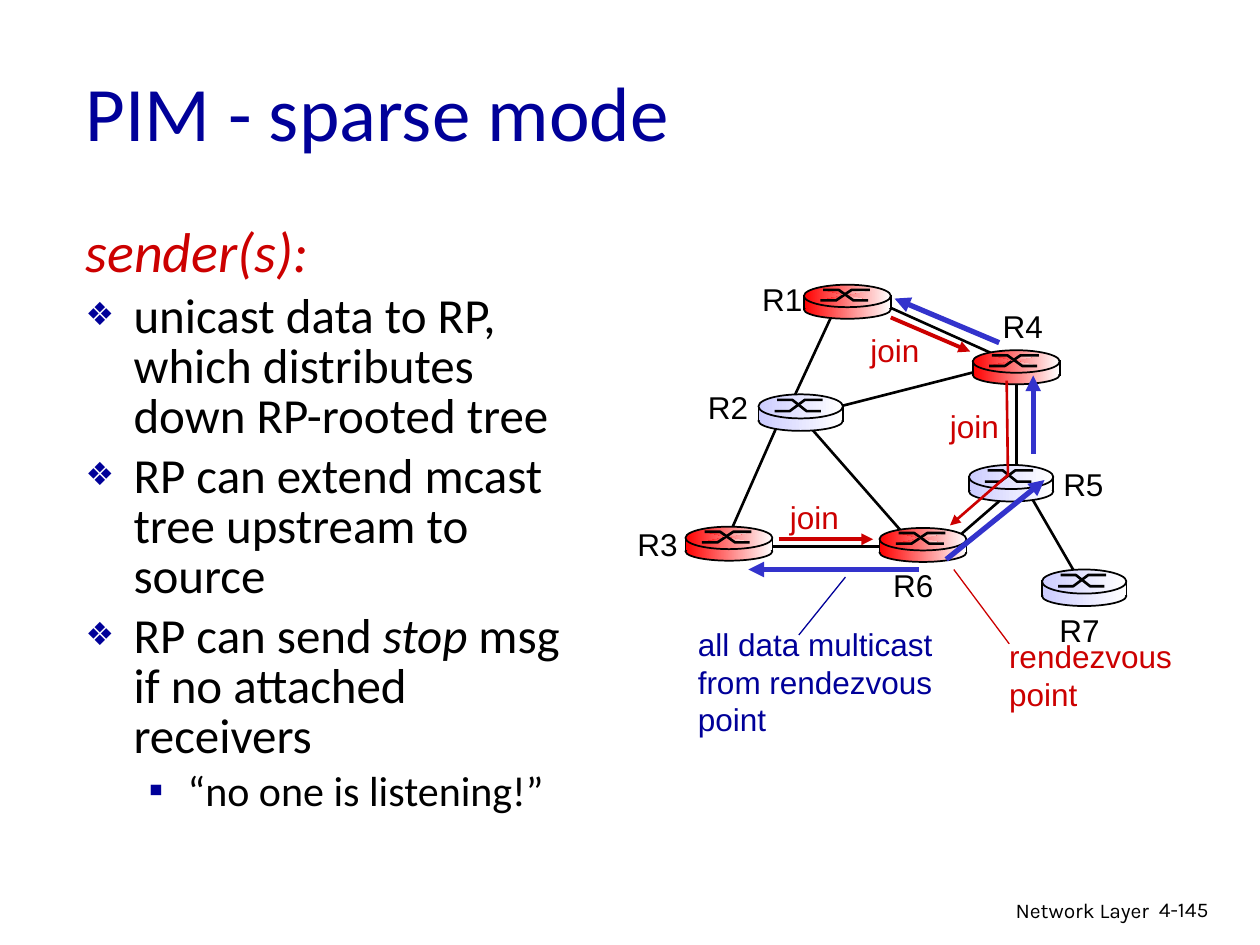
"""Build the PIM sparse mode slide with its router network diagram."""
from lxml.etree import SubElement
from pptx import Presentation
from pptx.dml.color import RGBColor
from pptx.enum.shapes import MSO_CONNECTOR as Connector, MSO_SHAPE as Shape
from pptx.enum.text import MSO_ANCHOR as Anchor, MSO_AUTO_SIZE as AutoSize, PP_ALIGN as Align
from pptx.oxml.ns import qn
from pptx.util import Inches, Pt

BLACK, NAVY, RED, BLUE = "000000", "000099", "CC0000", "3333CC"
TITLE = "PIM - sparse mode"
BODY = [
    dict(runs=[("sender(s):", True)], size=32, color=RED, indent=(0.38, -0.38)),
    dict(runs=["unicast data to RP, which distributes down RP-rooted tree"],
         size=28, bullet="❖", indent=(0.38, -0.38)),
    dict(runs=["RP can extend mcast tree upstream to source"],
         size=28, bullet="❖", indent=(0.38, -0.38)),
    dict(runs=["RP can send ", ("stop", True), " msg if no attached receivers"],
         size=28, bullet="❖", indent=(0.38, -0.38)),
    dict(runs=["“no one is listening!”"], size=24, bullet="▪", bullet_size=100,
         level=1, indent=(0.81, -0.31)),
]
FOOTERS = [("Network Layer", (6.05, 7.07, 3.17, 0.31), Align.RIGHT),
           ("4-145", (9.1, 7.07, 0.74, 0.3), Align.LEFT)]
CALLOUTS = [
    (["all data multicast", "from rendezvous", "point"], (5.44, 4.91, 2.06, 1), NAVY),
    (["rendezvous", "point"], (7.91, 5.01, 1.49, 0.7), RED),
]
CALLOUT_LINES = [(6.34, 5.04, 6.71, 4.58, NAVY), (7.57, 4.52, 8.01, 5.11, RED)]
JOIN_LABELS = [(7.44, 3.18), (6.81, 2.58), (6.17, 3.9)]
JOIN_ARROWS = [(6.18, 4.28, 6.93, 4.28), (7.07, 2.52, 7.7, 2.79)]
JOIN_ROUTE = [(7.99, 3.02), (8, 3.77), (7.54, 4.17)]
DATA_ARROWS = [(7.29, 4.52, 5.94, 4.52), (7.93, 2.72, 7.1, 2.37)]
FRONT_DATA_ARROWS = [(8.2, 3.6, 8.2, 2.98), (7.51, 4.44, 8.29, 3.81)]
LINKS = [
    (8.1, 3.8, 8.54, 4.56), (6.57, 3.25, 8.06, 2.87), (6.28, 3.22, 7.21, 4.28),
    (6.95, 2.39, 8.04, 2.88), (7.5, 4.35, 8.09, 3.84), (8.07, 2.98, 8.07, 3.77),
    (5.94, 4.34, 7.06, 4.34), (6.19, 3.33, 5.78, 4.26), (6.65, 2.4, 6.27, 3.22),
]
ROUTER_LABELS = {"R1": (5.95, 2.17), "R2": (5.52, 3.03), "R3": (4.96, 4.12), "R4": (7.86, 2.39),
                 "R5": (8.34, 3.64), "R6": (6.99, 4.44), "R7": (8.31, 4.8)}
MEMBERS = [(6.38, 2.26), (7.72, 2.78), (6.98, 4.19), (5.44, 4.18)]
OTHERS = [(6.02, 3.13), (7.69, 3.69), (8.27, 4.52)]
MEMBER_STYLE = dict(width=0.69, height=0.27, color="FF0000", filled_cross=True)
OTHER_STYLE = dict(width=0.67, height=0.29, color="CCCCFF", filled_cross=False)
CROSS = [[(0.19, 0.46), (0.37, 0.46), (0.55, 0.15), (0.76, 0.15)],
         [(0.22, 0.15), (0.4, 0.15), (0.57, 0.46), (0.74, 0.46)]]

presentation = Presentation()
presentation.slide_width, presentation.slide_height = Inches(10), Inches(7.5)
slide = presentation.slides.add_slide(presentation.slide_layouts[1])
shapes = slide.shapes


def rgb(value):
    return RGBColor.from_string(value)


def place(shape, left, top, width, height):
    shape.left, shape.top = Inches(left), Inches(top)
    shape.width, shape.height = Inches(width), Inches(height)


def write(paragraph, runs, size=18, color=BLACK, font="Arial", align=Align.LEFT, level=0):
    paragraph.alignment, paragraph.level = align, level
    for item in runs:
        text, italic = (item, False) if isinstance(item, str) else item
        run = paragraph.add_run()
        run.text = text
        run.font.size, run.font.name, run.font.italic = Pt(size), font, italic
        run.font.color.rgb = rgb(color)


def add_text(lines, box, wrap=False, **style):
    shape = shapes.add_textbox(*map(Inches, box))
    frame = shape.text_frame
    frame.word_wrap = wrap
    frame.auto_size = AutoSize.NONE if wrap else AutoSize.SHAPE_TO_FIT_TEXT
    for index, line in enumerate(lines):
        paragraph = frame.add_paragraph() if index else frame.paragraphs[0]
        write(paragraph, [line], **style)


def set_bullet(paragraph, indent, bullet=None, bullet_size=65):
    properties = paragraph._p.get_or_add_pPr()
    properties.set("marL", str(Inches(indent[0])))
    properties.set("indent", str(Inches(indent[1])))
    if not bullet:
        SubElement(properties, qn("a:buNone"))
        return
    SubElement(SubElement(properties, qn("a:buClr")), qn("a:srgbClr"), val=NAVY)
    SubElement(properties, qn("a:buSzPct"), val=str(bullet_size * 1000))
    SubElement(properties, qn("a:buChar"), char=bullet)


def fill_body(frame):
    for index, item in enumerate(BODY):
        paragraph = frame.add_paragraph() if index else frame.paragraphs[0]
        bullet = {key: item[key] for key in ("indent", "bullet", "bullet_size") if key in item}
        style = {key: item[key] for key in ("size", "color", "level") if key in item}
        set_bullet(paragraph, **bullet)
        paragraph.line_spacing = 0.85
        paragraph.space_before = Pt(item["size"] * 0.2 if index else 0)
        write(paragraph, item["runs"], font="Calibri", **style)


def set_line(shape, color, weight, arrow=False):
    shape.line.color.rgb, shape.line.width = rgb(color), Pt(weight)
    if arrow:
        SubElement(shape.line._get_or_add_ln(), qn("a:tailEnd"), type="triangle")


def add_line(x1, y1, x2, y2, color=BLACK, weight=1.5, arrow=False):
    line = shapes.add_connector(Connector.STRAIGHT, *map(Inches, (x1, y1, x2, y2)))
    set_line(line, color, weight, arrow)
    SubElement(line._element.spPr, qn("a:effectLst"))


def set_gradient(shape, color):
    shape.fill.gradient()
    shape.fill.gradient_angle = 0
    for stop, value in zip(shape.fill.gradient_stops, (color, "FFFFFF")):
        stop.color.rgb = rgb(value)


def add_path(points, color=BLACK, arrow=False, gradient=None):
    (x, y), *rest = [(Inches(x), Inches(y)) for x, y in points]
    builder = shapes.build_freeform(x, y)
    builder.add_line_segments(rest, close=False)
    shape = builder.convert_to_shape()
    shape.shadow.inherit = False
    if gradient:
        set_gradient(shape, gradient)
    else:
        shape.fill.background()
    set_line(shape, color, 1.5, arrow)


def add_router(left, top, width, height, color, filled_cross):
    for kind, offset, share in ((Shape.OVAL, 0.45, 0.55), (Shape.RECTANGLE, 0.37, 0.33),
                                (Shape.OVAL, 0, 0.66)):
        box = (left, top + offset * height, width, share * height)
        shape = shapes.add_shape(kind, *map(Inches, box))
        shape.shadow.inherit = False
        set_gradient(shape, color)
        if kind == Shape.OVAL:
            set_line(shape, BLACK, 1)
        else:
            shape.line.fill.background()
    for stroke in CROSS:
        points = [(left + x * width, top + y * height) for x, y in stroke]
        add_path(points, gradient=color if filled_cross else None)
    for x in (left, left + width):
        add_line(x, top + 0.3 * height, x, top + 0.75 * height, weight=1)


title, body = shapes.title, slide.placeholders[1]
place(title, 0.58, 0.25, 5.05, 1.25)
title.text_frame.vertical_anchor = Anchor.MIDDLE
write(title.text_frame.paragraphs[0], [TITLE], size=44, color=NAVY, font="Calibri")
place(body, 0.58, 1.75, 4.17, 5.08)
for holder in (title, body):
    holder.text_frame.auto_size = AutoSize.NONE
fill_body(body.text_frame)

for text, box, align in FOOTERS:
    add_text([text], box, wrap=True, size=12, font="Karla", align=align)
for lines, box, color in CALLOUTS:
    add_text(lines, box, color=color)
for *ends, color in CALLOUT_LINES:
    add_line(*ends, color=color, weight=0.75)
for ends in DATA_ARROWS:
    add_line(*ends, color=BLUE, weight=3, arrow=True)
for position in JOIN_LABELS:
    add_text(["join"], (*position, 0.59, 0.4), color=RED)
for ends in JOIN_ARROWS:
    add_line(*ends, color=RED, weight=2.25, arrow=True)
for ends in LINKS:
    add_line(*ends)
for name, position in ROUTER_LABELS.items():
    add_text([name], (*position, 0.52, 0.4))
for routers, style in ((MEMBERS, MEMBER_STYLE), (OTHERS, OTHER_STYLE)):
    for position in routers:
        add_router(*position, **style)
add_path(JOIN_ROUTE, color=RED, arrow=True)
for ends in FRONT_DATA_ARROWS:
    add_line(*ends, color=BLUE, weight=3, arrow=True)

presentation.save("out.pptx")
